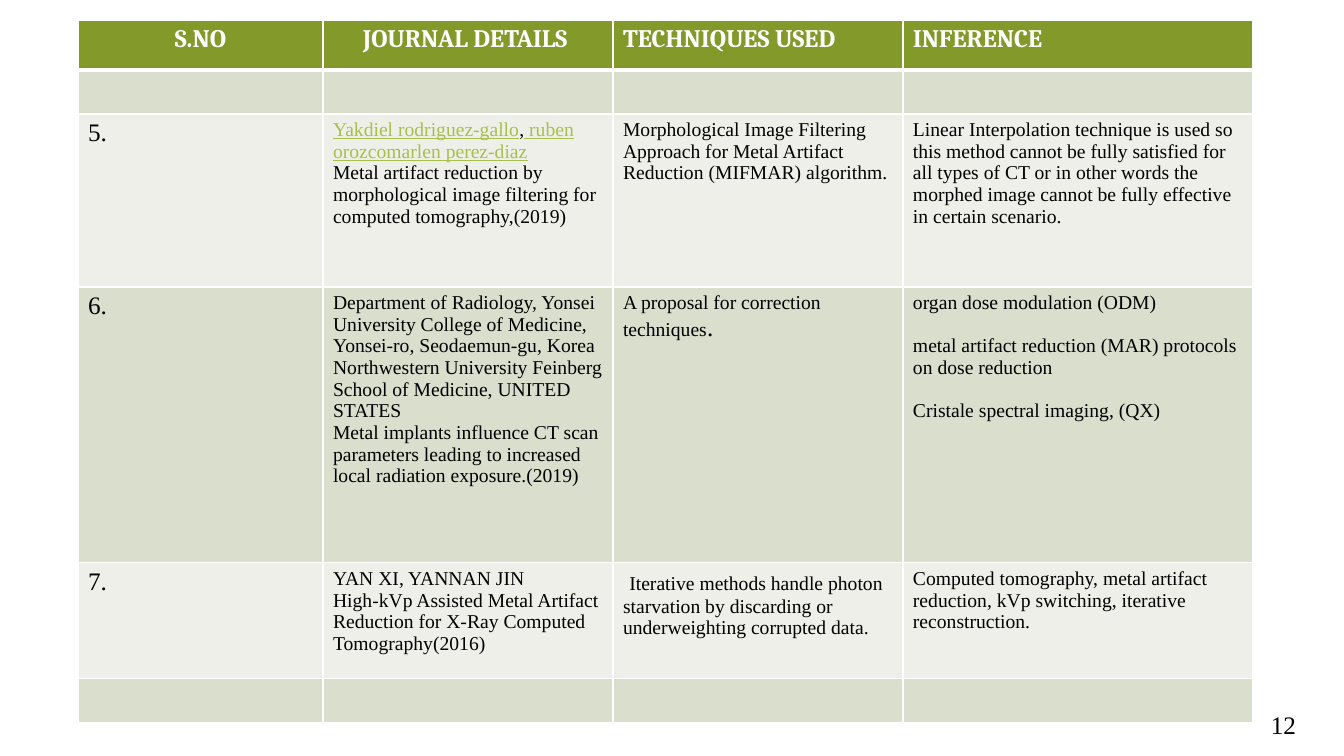
from lxml.etree import SubElement
from pptx import Presentation
from pptx.dml.color import RGBColor
from pptx.enum.text import MSO_AUTO_SIZE, PP_ALIGN
from pptx.oxml.ns import qn
from pptx.util import Pt

COLORS = {
    "header": "83992A",
    "dark_band": "D9DECD",
    "light_band": "EDEFE8",
    "white": "FFFFFF",
    "black": "000000",
    "link": "A8BF4D",
}
HEADERS = [
    ("S.NO", PP_ALIGN.CENTER),
    ("JOURNAL DETAILS ", PP_ALIGN.CENTER),
    ("TECHNIQUES USED", PP_ALIGN.LEFT),
    ("INFERENCE", PP_ALIGN.LEFT),
]
EMPTY_ROW = ("", [], [], [])
JOURNALS = [
    EMPTY_ROW,
    (
        "5.",
        [
            [("Yakdiel rodriguez-gallo", "link"), (",", "plain"),
             (" ruben orozcomarlen perez-diaz", "link")],
            "Metal artifact reduction by morphological image filtering for computed tomography,(2019)",
        ],
        ["Morphological Image Filtering Approach for Metal Artifact Reduction (MIFMAR) algorithm."],
        ["Linear Interpolation technique is used so this method cannot be fully satisfied for all "
         "types of CT or in other words the morphed image cannot be fully effective in certain scenario."],
    ),
    (
        "6.",
        [
            "Department of Radiology, Yonsei University College of Medicine, Yonsei-ro, Seodaemun-gu, Korea",
            "Northwestern University Feinberg School of Medicine, UNITED STATES",
            "Metal implants influence CT scan parameters leading to increased local radiation exposure.(2019)",
        ],
        [[("A proposal for correction techniques", "plain"), (".", "large")]],
        [
            "organ dose modulation (ODM)",
            "metal artifact reduction (MAR) protocols on dose reduction",
            "Cristale spectral imaging, (QX)",
        ],
    ),
    (
        "7.",
        ["YAN XI, YANNAN JIN",
         "High-kVp Assisted Metal Artifact Reduction for X-Ray Computed Tomography(2016)"],
        [[(" ", "large"),
          ("Iterative methods handle photon starvation by discarding or underweighting corrupted data.",
           "plain")]],
        ["Computed tomography, metal artifact reduction, kVp switching, iterative reconstruction."],
    ),
    EMPTY_ROW,
]
SLIDE_NUMBER = "12"

SLIDE_SIZE = (1344, 756)
TABLE_ORIGIN = (78, 20)
COLUMN_WIDTHS = [245, 290, 290, 350]
ROW_HEIGHTS = [50, 44, 173, 276, 116, 44]
NUMBER_BOX = (1261, 704, 66, 40)
HEADING_SIZE, BODY_SIZE = 18, 14
INFERENCE_GAPS = {(3, 3): 15.5}


def px(length):
    return round(length * 914400 / 100.8)


def color(name):
    return RGBColor.from_string(COLORS[name])


def set_font(font, size, name="Times New Roman", color_name="black", bold=False):
    font.size = Pt(size)
    font.name = name
    font.bold = bold
    font.color.rgb = color(color_name)


def add_runs(paragraph, content):
    set_font(paragraph.font, BODY_SIZE)
    if isinstance(content, str):
        content = [(content, "plain")]
    for text, style in content:
        run = paragraph.add_run()
        run.text = text
        if style == "link":
            run.font.color.rgb = color("link")
            run.font.underline = True
        elif style == "large":
            run.font.size = Pt(HEADING_SIZE)


def style_cell(cell, fill_name, widths):
    properties = cell._tc.get_or_add_tcPr()
    for side, width in zip(("a:lnL", "a:lnR", "a:lnT", "a:lnB"), widths):
        line = SubElement(properties, qn(side), w=str(Pt(width)))
        fill = SubElement(line, qn("a:solidFill"))
        SubElement(fill, qn("a:srgbClr"), val=COLORS["white"])
    cell.fill.solid()
    cell.fill.fore_color.rgb = color(fill_name)


def add_journal_table(slide):
    frame = slide.shapes.add_table(
        len(ROW_HEIGHTS), len(COLUMN_WIDTHS), *map(px, TABLE_ORIGIN),
        px(sum(COLUMN_WIDTHS)), px(sum(ROW_HEIGHTS)))
    table = frame.table
    for column, width in zip(table.columns, COLUMN_WIDTHS):
        column.width = px(width)
    for row, height in zip(table.rows, ROW_HEIGHTS):
        row.height = px(height)

    for column_index, (heading, alignment) in enumerate(HEADERS):
        cell = table.cell(0, column_index)
        style_cell(cell, "header", (1, 1, 1, 3))
        paragraph = cell.text_frame.paragraphs[0]
        paragraph.text = heading
        paragraph.alignment = alignment
        set_font(paragraph.font, HEADING_SIZE, "Cambria", "white", True)

    for row_index, (number, *details) in enumerate(JOURNALS, start=1):
        band = "dark_band" if row_index % 2 else "light_band"
        top = 3 if row_index == 1 else 1
        for column_index in range(len(COLUMN_WIDTHS)):
            style_cell(table.cell(row_index, column_index), band, (1, 1, top, 1))
        if number:
            paragraph = table.cell(row_index, 0).text_frame.paragraphs[0]
            paragraph.text = number
            set_font(paragraph.font, HEADING_SIZE)
        for column_index, contents in enumerate(details, start=1):
            text_frame = table.cell(row_index, column_index).text_frame
            gap = INFERENCE_GAPS.get((row_index, column_index), 0)
            for index, content in enumerate(contents):
                paragraph = text_frame.add_paragraph() if index else text_frame.paragraphs[0]
                paragraph.space_before = Pt(gap if index else 0)
                add_runs(paragraph, content)


def add_slide_number(slide):
    text_frame = slide.shapes.add_textbox(*map(px, NUMBER_BOX)).text_frame
    text_frame.word_wrap = True
    text_frame.auto_size = MSO_AUTO_SIZE.SHAPE_TO_FIT_TEXT
    paragraph = text_frame.paragraphs[0]
    paragraph.text = SLIDE_NUMBER
    set_font(paragraph.font, HEADING_SIZE)


def main():
    presentation = Presentation()
    presentation.slide_width, presentation.slide_height = map(px, SLIDE_SIZE)
    slide = presentation.slides.add_slide(presentation.slide_layouts[6])
    add_journal_table(slide)
    add_slide_number(slide)
    presentation.save("out.pptx")


if __name__ == "__main__":
    main()
